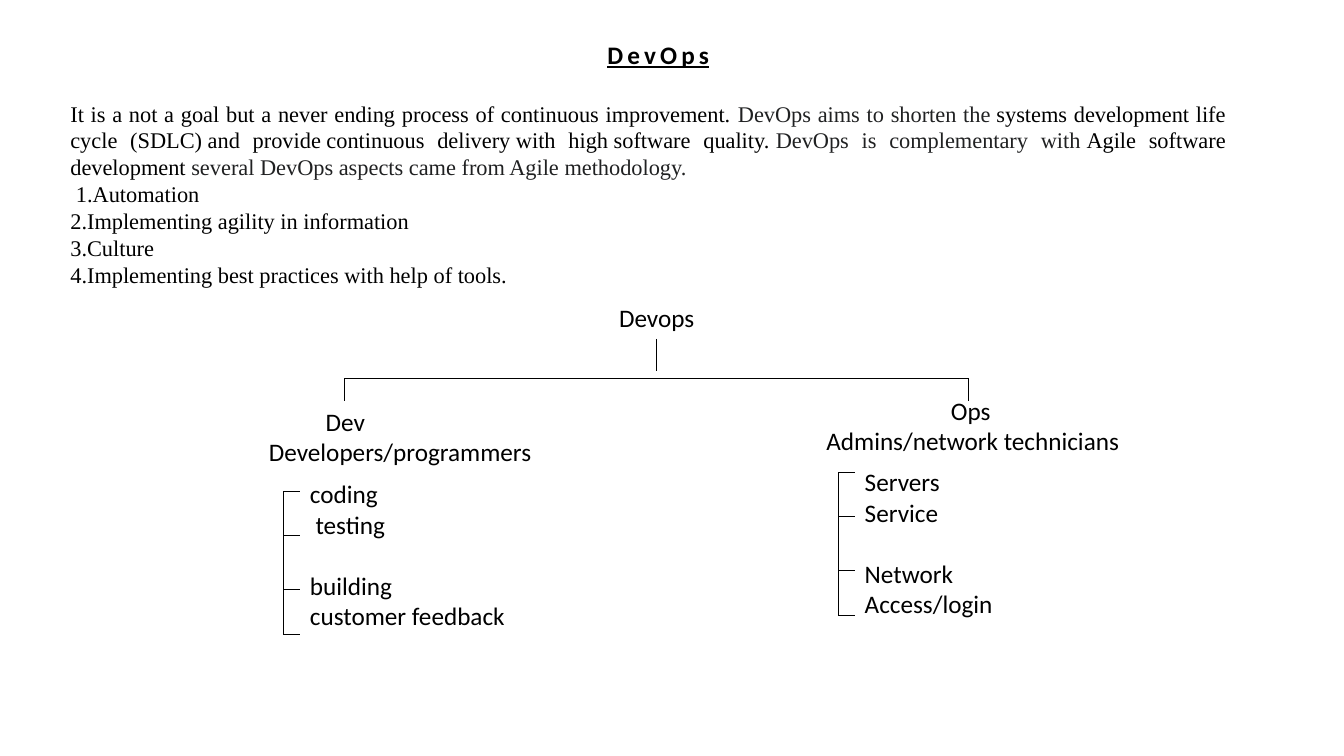
"""Build the DevOps overview slide with its Dev and Ops tree."""
from dataclasses import dataclass

from lxml.etree import SubElement
from pptx import Presentation
from pptx.dml.color import RGBColor
from pptx.enum.shapes import MSO_CONNECTOR as Connector
from pptx.enum.text import MSO_ANCHOR as Anchor, MSO_AUTO_SIZE as AutoSize, PP_ALIGN as Align
from pptx.oxml.ns import qn
from pptx.util import Pt


@dataclass(frozen=True)
class Theme:
    """Hold the colours, fonts and sizes of the slide."""
    black: RGBColor = RGBColor(0, 0, 0)
    grey: RGBColor = RGBColor(0x20, 0x21, 0x22)
    label_font: str = "Calibri"
    body_font: str = "Times New Roman"
    label_size: int = 18
    body_size: int = 16
    line_width: float = 0.5
    list_gap: int = 22


theme = Theme()
TITLE = "DevOps"
ROOT = "Devops"
INTRO = [
    ("It is a not a goal but a never ending process of continuous improvement.", theme.black),
    (" DevOps aims to shorten the\u00a0", theme.grey),
    ("systems development life cycle (SDLC)\u00a0and provide\u00a0continuous delivery\u00a0"
     "with high\u00a0software quality.", theme.black),
    ("\u00a0DevOps is complementary with\u00a0", theme.grey),
    ("Agile software development", theme.black),
    (" several DevOps aspects came from Agile methodology.", theme.grey),
]
POINTS = [
    ("1.Automation", 4),
    ("2.Implementing agility in information", 0),
    ("3.Culture", 0),
    ("4.Implementing best practices with help of tools.", 0),
]
BRANCHES = [
    dict(heading=[("Dev", 40.5), ("Developers/programmers", 0)],
         heading_box=(185, 286.6, 210.2, 51),
         tasks=[("coding", 28.5), ("testing", 32.5), ("building", 28.5),
                ("customer feedback", 28.5)],
         task_box=(185.8, 338.4, 210.2, 138.2), bracket=(202.4, 350.8)),
    dict(heading=[("Ops", 89), ("Admins/network technicians", 0)],
         heading_box=(583.2, 278.6, 261.4, 51),
         tasks=[("Servers", 0), ("Service", 0), ("Network", 0), ("Access/login", 0)],
         task_box=(610.6, 329.8, 175, 116.6), bracket=(598.6, 337.6)),
]
TICKS = (0, 31.3, 70, 102.2)
TICK_LENGTH = 12
GAP_BEFORE = 2
STEM = (468.7, 242, 265)
RAIL_TOP, RAIL_BOTTOM = 270, 286.6
RAIL_LEFT, RAIL_RIGHT = 246, 692


def place(shape, box):
    shape.left, shape.top, shape.width, shape.height = map(Pt, box)


def style(para, font, size, color=theme.black, align=Align.LEFT):
    para.alignment = align
    para.font.name, para.font.size = font, Pt(size)
    para.font.color.rgb = color


def add_box(page, box):
    frame = page.shapes.add_textbox(*map(Pt, box)).text_frame
    frame.word_wrap = True
    return frame


def add_lines(frame, lines, font, size, align=Align.LEFT, gap_before=None):
    for index, (text, indent) in enumerate(lines):
        reuse = index == 0 and not frame.text
        para = frame.paragraphs[0] if reuse else frame.add_paragraph()
        para.text = text
        style(para, font, size, align=align)
        if indent:
            para._p.get_or_add_pPr().set("marL", str(Pt(indent)))
        if index == gap_before:
            para.space_before = Pt(theme.list_gap)


def add_line(page, *ends):
    line = page.shapes.add_connector(Connector.STRAIGHT, *map(Pt, ends))
    line.line.color.rgb, line.line.width = theme.black, Pt(theme.line_width)
    SubElement(line._element.spPr, qn("a:effectLst"))


def add_title(page):
    title = page.shapes.title
    place(title, (58.3, 24.5, 823.7, 28.8))
    frame = title.text_frame
    frame.text, frame.word_wrap = TITLE, True
    frame.auto_size, frame.vertical_anchor = AutoSize.NONE, Anchor.TOP
    para = frame.paragraphs[0]
    style(para, theme.label_font, theme.label_size, align=Align.CENTER)
    para.font.bold = para.font.underline = True
    para.runs[0]._r.get_or_add_rPr().set("spc", "300")


def add_intro(page):
    frame = add_box(page, (43.2, 67.7, 839.5, 143.3))
    para = frame.paragraphs[0]
    style(para, theme.body_font, theme.body_size, align=Align.JUSTIFY)
    for text, color in INTRO:
        span = para.add_run()
        span.text, span.font.color.rgb = text, color
    add_lines(frame, POINTS, theme.body_font, theme.body_size, Align.JUSTIFY)


def add_tree(page):
    label = theme.label_font, theme.label_size
    add_lines(add_box(page, (7.2, 212.4, 923.8, 28.8)), [(ROOT, 0)], *label, Align.CENTER)
    stem_x, stem_top, stem_bottom = STEM
    add_line(page, stem_x, stem_top, stem_x, stem_bottom)
    add_line(page, RAIL_LEFT, RAIL_TOP, RAIL_RIGHT, RAIL_TOP)
    for x in (RAIL_LEFT, RAIL_RIGHT):
        add_line(page, x, RAIL_TOP, x, RAIL_BOTTOM)
    for branch in BRANCHES:
        add_lines(add_box(page, branch["heading_box"]), branch["heading"], *label)
        add_lines(add_box(page, branch["task_box"]), branch["tasks"], *label,
                  gap_before=GAP_BEFORE)
        x, top = branch["bracket"]
        add_line(page, x, top, x, top + TICKS[-1])
        for tick in TICKS:
            add_line(page, x, top + tick, x + TICK_LENGTH, top + tick)


deck = Presentation()
deck.slide_width, deck.slide_height = Pt(960), Pt(540)
page = deck.slides.add_slide(deck.slide_layouts.get_by_name("Title Only"))
add_title(page)
add_intro(page)
add_tree(page)
deck.save("out.pptx")
